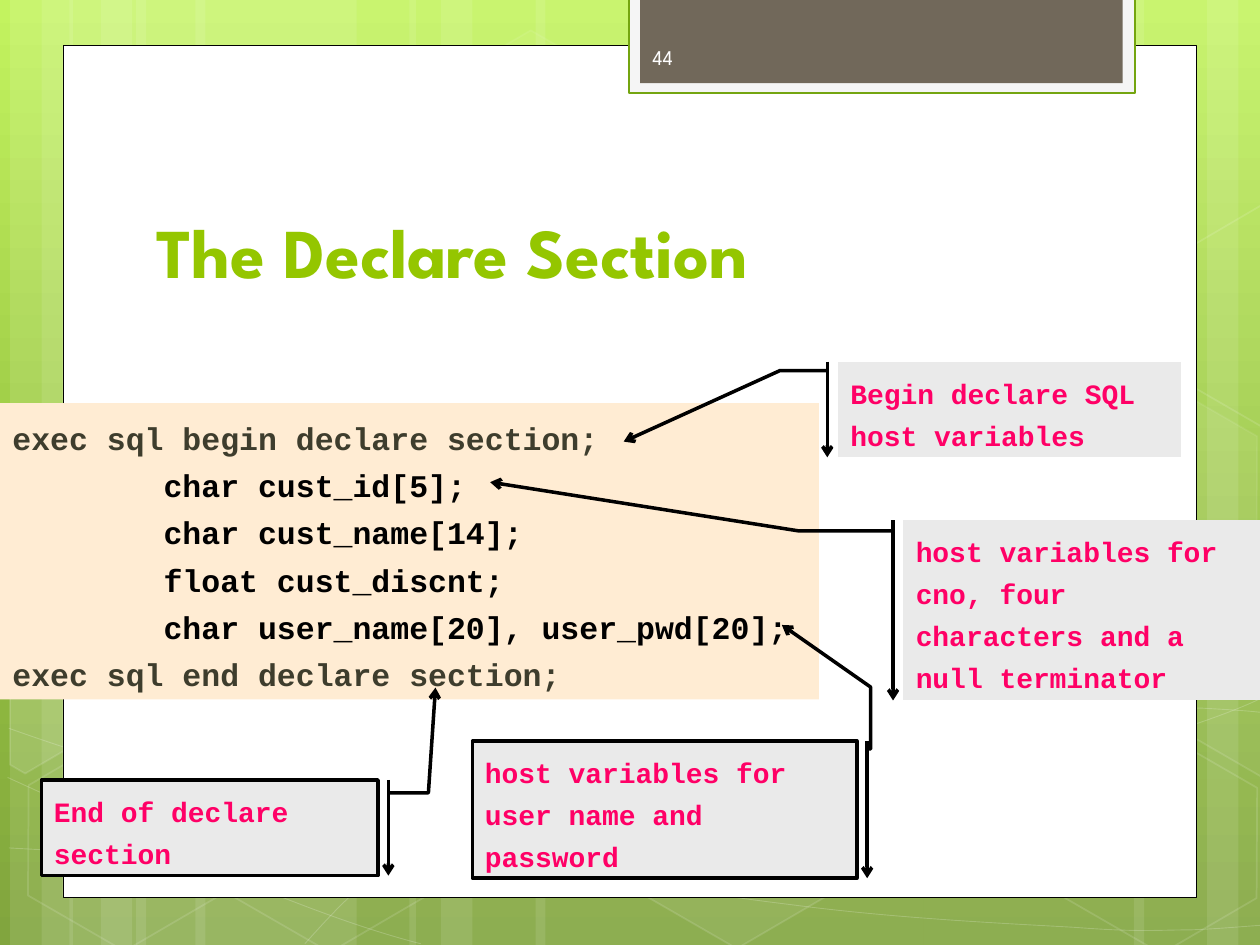
import copy
from typing import NamedTuple

import pptx
import pptx.util
from lxml import etree
from pptx.dml.color import RGBColor
from pptx.enum.shapes import MSO_SHAPE
from pptx.enum.text import MSO_ANCHOR, MSO_AUTO_SIZE, PP_ALIGN
from pptx.oxml.ns import qn
from pptx.util import Inches

WHITE = RGBColor(255, 255, 255)
BLACK = RGBColor(0, 0, 0)
PALE = RGBColor(0xF5, 0xF5, 0xF5)
MOSS = RGBColor(0x74, 0xA5, 0x10)
TAUPE = RGBColor(0x71, 0x68, 0x5A)
LIME = RGBColor(0x94, 0xC6, 0x00)
SNOW = RGBColor(0xFE, 0xFE, 0xFE)
CREAM = RGBColor(0xFF, 0xEC, 0xD3)
OLIVE = RGBColor(0x3E, 0x3D, 0x2D)
GREY = RGBColor(0xEA, 0xEA, 0xEA)
PINK = RGBColor(0xFF, 0x00, 0x66)
SKY = [(0, RGBColor(0xC3, 0xF3, 0x5F)), (0.62, RGBColor(0x93, 0xBF, 0x3F)),
       (1, RGBColor(0x81, 0xA5, 0x3E))]
HEAD, CODE = "League Spartan", "Courier New"


class Hex(NamedTuple):
    left: float
    top: float
    fill: int
    line: int


class Cut(NamedTuple):
    """A hexagon cut off by the slide edge; fill and line are opacities."""
    dots: list
    fill: int
    line: int


class Note(NamedTuple):
    kind: MSO_SHAPE
    box: tuple
    bends: list
    text: str


BARS = [(1.08, 1.75), (0.08, 0.5), (0.33, 0.83), (1.55, 1.75), (0.55, 0.5), (0.8, 0.83),
        (7.33, 1.75), (9.58, 0.5), (9, 0.83), (4.25, 3.08), (3.25, 0.5), (3.5, 0.83)]

# Each curve is a start point followed by Bezier triples.
CURVES = [
    [(0.07, 6.73), (0.61, 6.76), (1.15, 6.79), (1.9, 6.78), (2.65, 6.77), (3.58, 6.75),
     (4.58, 6.65), (5.58, 6.55), (7, 6.36), (7.92, 6.17), (8.83, 5.98), (9.77, 5.68),
     (10.07, 5.51)],
    [(0.07, 4.77), (0.36, 4.61), (0.65, 4.46), (1.21, 4.31), (1.78, 4.16), (2.59, 3.94),
     (3.47, 3.87), (4.36, 3.8), (5.44, 3.79), (6.54, 3.87), (7.64, 3.95), (9.47, 4.26),
     (10.07, 4.34)],
    [(0.06, 6.17), (1.27, 6.72), (2.47, 7.27), (3.34, 7.49)],
    [(0.07, 5.78), (0.38, 5.89), (0.7, 6), (1.28, 6.16), (1.86, 6.31), (2.73, 6.56),
     (3.57, 6.73), (4.4, 6.9), (5.45, 7.08), (6.28, 7.18), (7.11, 7.29), (8, 7.33),
     (8.53, 7.36), (9.05, 7.4), (9.19, 7.38), (9.45, 7.38), (9.71, 7.37), (9.89, 7.35),
     (10.07, 7.34)],
    [(2.42, 7.49), (2.6, 7.29), (2.78, 7.09), (3.02, 6.91), (3.26, 6.73), (3.6, 6.53),
     (3.88, 6.39), (4.16, 6.25), (4.33, 6.19), (4.7, 6.09), (5.06, 5.99), (5.73, 5.85),
     (6.08, 5.78), (6.44, 5.71), (6.49, 5.71), (6.8, 5.69), (7.11, 5.66), (7.6, 5.63),
     (7.94, 5.62), (8.29, 5.61), (8.86, 5.62), (8.86, 5.62), (8.86, 5.62), (9.53, 5.62),
     (9.53, 5.62), (9.71, 5.63), (9.88, 5.64), (9.97, 5.65), (10.06, 5.66), (10.03, 5.65),
     (10.06, 5.66)],
]

CELLS = [
    Hex(3.34, 0.36, 4, 8), Hex(4.97, 5.89, 6, 12),
    Cut([(0.08, 4.45), (0.19, 4.38), (0.96, 4.82), (0.95, 5.7), (0.2, 6.14), (0.08, 6.07)],
        10, 12),
    Hex(0.11, 5.91, 0, 12), Hex(0.14, 3.12, 7, 8), Hex(1.74, 5.92, 0, 12),
    Hex(7.53, 4.53, 10, 12), Hex(8.34, 5.93, 0, 12), Hex(8.34, 3.14, 7, 8),
    Cut([(9.26, 4.85), (10.01, 4.41), (10.09, 4.46), (10.09, 6.13), (10.02, 6.17),
         (9.26, 5.73)], 4, 12),
    Cut([(9.26, 2.07), (10.01, 1.63), (10.1, 1.68), (10.09, 3.35), (10.02, 3.39),
         (9.26, 2.95)], 0, 12),
]

LINES = ["exec sql begin declare section;",
         "        char cust_id[5];",
         "        char cust_name[14];",
         "        float cust_discnt;",
         "        char user_name[20], user_pwd[20];",
         "exec sql end declare section;"]

NOTES = [
    Note(MSO_SHAPE.LINE_CALLOUT_2_ACCENT_BAR, (6.65, 2.87, 2.72, 0.76),
         [0.094, -0.031, 0.094, -0.169, 0.836, -0.625],
         "Begin declare SQL host variables"),
    Note(MSO_SHAPE.LINE_CALLOUT_2_BORDER_AND_ACCENT_BAR, (0.33, 6.19, 2.67, 0.76),
         [0.135, 1.031, 0.135, 1.15, -0.964, 1.171], "End of declare section"),
    Note(MSO_SHAPE.LINE_CALLOUT_2_ACCENT_BAR, (7.17, 4.13, 2.83, 1.43),
         [0.059, -0.029, 0.059, -0.293, -0.212, -1.159],
         "host variables for cno, four characters and a null terminator"),
    Note(MSO_SHAPE.LINE_CALLOUT_3_BORDER_AND_ACCENT_BAR, (3.75, 5.88, 3.05, 1.09),
         [0.059, 1.027, 0.059, 1.036, -0.392, 1.036, -0.844, 0.805],
         "host variables for user name and password"),
]


def fade(node, part: str, alpha: int) -> None:
    """Set the opacity, in percent, of the colour found under part."""
    tint = node.find(part + "/" + qn("a:srgbClr"))
    etree.SubElement(tint, qn("a:alpha")).set("val", str(alpha * 1000))


def paint(shape, fill=None, line=None, width=1.0, fill_alpha=100, line_alpha=100) -> None:
    shape.shadow.inherit = False
    props, solid = shape.element.spPr, qn("a:solidFill")
    if fill is None or fill_alpha == 0:
        shape.fill.background()
    else:
        shape.fill.solid()
        shape.fill.fore_color.rgb = fill
        if fill_alpha < 100:
            fade(props, solid, fill_alpha)
    if line is None:
        shape.line.fill.background()
    else:
        shape.line.color.rgb = line
        shape.line.width = pptx.util.Pt(width)
        if line_alpha < 100:
            fade(props, qn("a:ln") + "/" + solid, line_alpha)


def add(slide, kind: MSO_SHAPE, box: tuple, **look):
    shape = slide.shapes.add_shape(kind, *map(Inches, box))
    paint(shape, **look)
    return shape


def trace(slide, dots: list, close: bool, **look):
    pts = [(Inches(x), Inches(y)) for x, y in dots]
    pen = slide.shapes.build_freeform(*pts[0])
    pen.add_line_segments(pts[1:], close=close)
    shape = pen.convert_to_shape()
    paint(shape, **look)
    return shape


def bend(shape, knots: list) -> None:
    """Turn each three line steps into a Bezier step, or one line if straight."""
    steps = list(shape.element.iter(qn("a:lnTo")))
    for i in range(0, len(steps), 3):
        first, second, last = steps[i:i + 3]
        if knots[i] == knots[i + 1] and knots[i + 2] == knots[i + 3]:
            first.getparent().remove(first)
            second.getparent().remove(second)
            continue
        curve = etree.Element(qn("a:cubicBezTo"))
        first.addprevious(curve)
        for step in (first, second, last):
            curve.append(step[0])
            step.getparent().remove(step)


def write(shape, *lines: str, font=CODE, size=18, color=BLACK, bold=True, space=None,
          anchor=MSO_ANCHOR.TOP, fit=MSO_AUTO_SIZE.NONE) -> None:
    frame = shape.text_frame
    frame.word_wrap, frame.auto_size, frame.vertical_anchor = True, fit, anchor
    for i, text in enumerate(lines):
        para = frame.add_paragraph() if i else frame.paragraphs[0]
        para.alignment, para.line_spacing = PP_ALIGN.LEFT, space
        run = para.add_run()
        run.text = text
        run.font.name, run.font.size, run.font.bold = font, pptx.util.Pt(size), bold
        run.font.color.rgb = color


def backdrop(slide) -> None:
    fill = slide.background.fill
    fill.gradient()
    fill.gradient_angle = 270
    stops = next(slide.element.iter(qn("a:gsLst")))
    stops.append(copy.deepcopy(stops[-1]))
    for stop, (place, color) in zip(fill.gradient_stops, SKY):
        stop.position, stop.color.rgb = place, color
    for left, width in BARS:
        add(slide, MSO_SHAPE.RECTANGLE, (left, 0, width, 7.5), fill=WHITE, fill_alpha=10)
    for knots in CURVES:
        bend(trace(slide, knots, False, line=WHITE, width=0.5, line_alpha=20), knots)
    for cell in CELLS:
        look = dict(fill=WHITE, line=WHITE, fill_alpha=cell.fill, line_alpha=cell.line)
        if isinstance(cell, Cut):
            trace(slide, cell.dots, True, **look)
        else:
            shape = add(slide, MSO_SHAPE.HEXAGON, (cell.left, cell.top, 1.75, 1.52), **look)
            shape.rotation, shape.adjustments[0] = 30, 0.285
    add(slide, MSO_SHAPE.RECTANGLE, (0.5, 0.36, 9, 6.76), fill=WHITE, line=BLACK, width=0.5)
    add(slide, MSO_SHAPE.RECTANGLE, (4.99, -0.02, 4.02, 0.76), fill=PALE, line=MOSS, width=1.25)
    add(slide, MSO_SHAPE.RECTANGLE, (5.08, -0.02, 3.83, 0.68), fill=TAUPE)


def callout(slide, note: Note) -> None:
    shape = add(slide, note.kind, note.box, fill=GREY, line=BLACK, width=2)
    for i, value in enumerate(note.bends):
        shape.adjustments[i] = value
    edge = shape.element.spPr.find(qn("a:ln"))
    etree.SubElement(edge, qn("a:tailEnd")).set("type", "arrow")
    write(shape, note.text, size=16, color=PINK, space=1.25, fit=MSO_AUTO_SIZE.SHAPE_TO_FIT_TEXT)


def main() -> None:
    deck = pptx.Presentation()
    deck.slide_width, deck.slide_height = Inches(10), Inches(7.5)
    slide = deck.slides.add_slide(deck.slide_layouts[6])
    backdrop(slide)
    title = slide.shapes.add_textbox(*map(Inches, (1.14, 1.12, 7.68, 1.25)))
    write(title, "The Declare Section", font=HEAD, size=40, color=LIME, anchor=MSO_ANCHOR.BOTTOM)
    number = slide.shapes.add_textbox(*map(Inches, (5.08, 0.25, 1.46, 0.4)))
    write(number, "44", font=HEAD, size=12, color=SNOW, bold=False, anchor=MSO_ANCHOR.MIDDLE)
    panel = add(slide, MSO_SHAPE.RECTANGLE, (0, 3.2, 6.5, 2.35), fill=CREAM)
    write(panel, *LINES, space=1.25, fit=MSO_AUTO_SIZE.SHAPE_TO_FIT_TEXT)
    for para in (panel.text_frame.paragraphs[0], panel.text_frame.paragraphs[-1]):
        para.runs[0].font.color.rgb = OLIVE
    for note in NOTES:
        callout(slide, note)
    deck.save("out.pptx")


if __name__ == "__main__":
    main()
